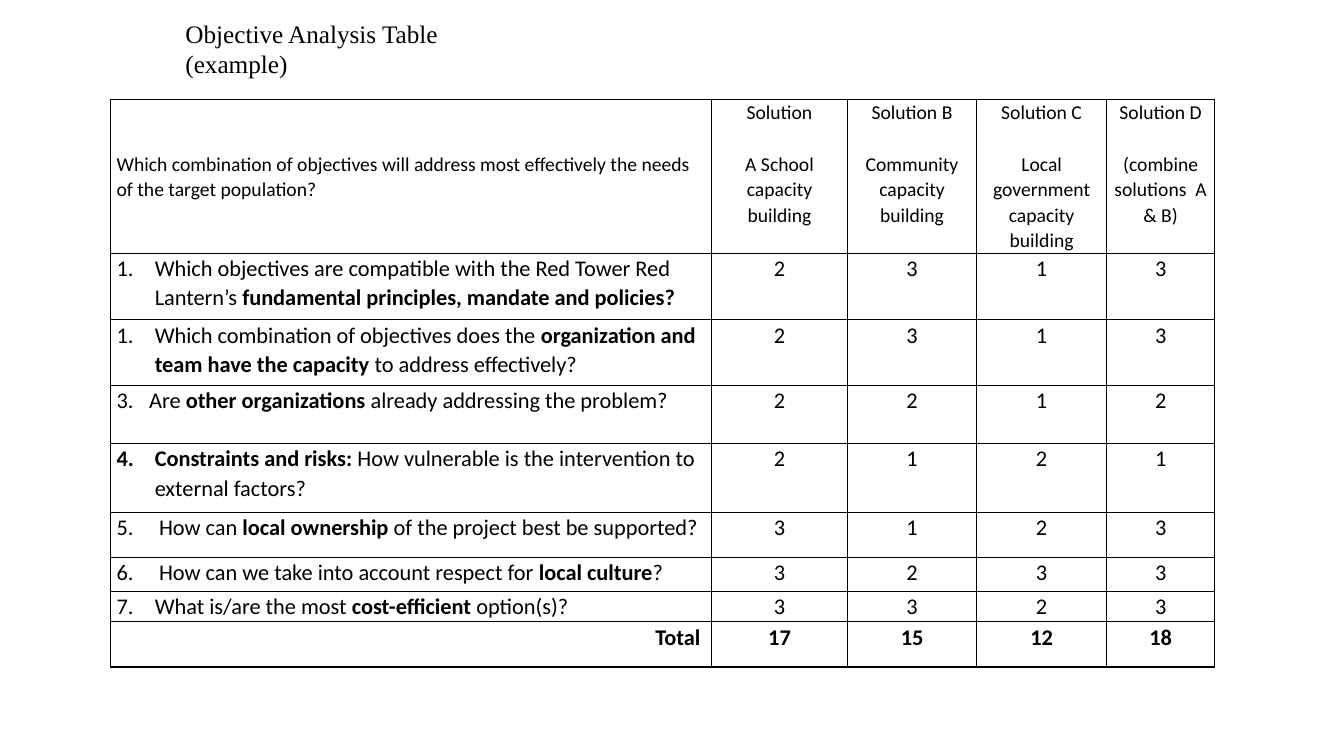
from lxml import etree
from pptx import Presentation
from pptx import util as u
from pptx.dml import color
from pptx.enum import text
from pptx.oxml import ns

BLACK = "000000"
COLUMN_WIDTHS = [15.14, 3.43, 3.25, 3.28, 2.72]
ROW_HEIGHTS = [3.87, 1.68, 1.65, 1.47, 1.73, 1.14, 0.86, 0.76, 1.14]
QUESTION = "Which combination of objectives will address most effectively the needs of the target population?"
SOLUTIONS = [
    ("Solution", "A School capacity building"),
    ("Solution B", "Community capacity building"),
    ("Solution C", "Local government capacity building"),
    ("Solution D", "(combine solutions  A & B)"),
]
# number, indent in cm, (text, bold) pieces, scores
CRITERIA = [
    (1, 0.96, [("Which objectives are compatible with the Red Tower Red Lantern’s ", False),
               ("fundamental principles, mandate and policies?", True)], [2, 3, 1, 3]),
    (1, 0.96, [("Which combination of objectives does the ", False),
               ("organization and team have the capacity", True),
               (" to address effectively?", False)], [2, 3, 1, 3]),
    (3, 0.82, [("Are ", False), ("other organizations", True),
               (" already addressing the problem?", False)], [2, 2, 1, 2]),
    (4, 0.96, [("Constraints and risks:", True),
               (" How vulnerable is the intervention to external factors?", False)], [2, 1, 2, 1]),
    (5, 1.07, [("How can ", False), ("local ownership", True),
               (" of the project best be supported?", False)], [3, 1, 2, 3]),
    (6, 1.07, [("How can we take into account respect for ", False),
               ("local culture", True), ("?", False)], [3, 2, 3, 3]),
    (7, 0.96, [("What is/are the most ", False), ("cost-efficient", True),
               (" option(s)?", False)], [3, 3, 2, 3]),
]


def rgb(hex_string):
    """Return the colour for a hex string."""
    return color.RGBColor.from_string(hex_string)


def format_run(run, size, bold=False, font="Calibri"):
    """Set the font of a run."""
    run.font.name, run.font.size, run.font.bold = font, u.Pt(size), bold
    run.font.color.rgb = rgb(BLACK)


def write_paragraph(paragraph, pieces, size, alignment):
    """Fill a paragraph with plain and bold pieces."""
    paragraph.alignment = alignment
    paragraph.line_spacing = 1.07
    for words, bold in pieces:
        run = paragraph.add_run()
        run.text = words
        format_run(run, size, bold)


def write_cell(cell, pieces, size=16, alignment=text.PP_ALIGN.CENTER):
    """Fill the first paragraph of a cell."""
    write_paragraph(cell.text_frame.paragraphs[0], pieces, size, alignment)


def number_paragraph(paragraph, number, indent):
    """Give a paragraph a hanging number."""
    properties = paragraph._p.get_or_add_pPr()
    properties.set("marL", str(u.Cm(indent)))
    properties.set("indent", str(-u.Cm(indent)))
    bullet = etree.SubElement(properties, ns.qn("a:buAutoNum"), type="arabicPeriod")
    bullet.set("startAt", str(number))


def style_cell(cell):
    """Set margins, an empty fill and thin black borders."""
    cell.margin_left = cell.margin_right = u.Cm(0.15)
    cell.margin_top = cell.margin_bottom = 0
    cell.fill.background()
    properties = cell._tc.get_or_add_tcPr()
    for position, side in enumerate(("lnL", "lnR", "lnT", "lnB")):
        line = etree.Element(ns.qn(f"a:{side}"), w=str(u.Pt(1)))
        fill = etree.SubElement(line, ns.qn("a:solidFill"))
        etree.SubElement(fill, ns.qn("a:srgbClr"), val=BLACK)
        properties.insert(position, line)


def add_title(slide):
    """Place and format the slide title."""
    title = slide.shapes.title
    title.left, title.top, title.width, title.height = (
        u.Cm(4.42), u.Cm(0.33), u.Cm(9.55), u.Cm(1.8))
    frame = title.text_frame
    frame.text = "Objective Analysis Table (example)"
    frame.word_wrap = True
    frame.auto_size = text.MSO_AUTO_SIZE.NONE
    frame.vertical_anchor = text.MSO_ANCHOR.TOP
    paragraph = frame.paragraphs[0]
    paragraph.alignment = text.PP_ALIGN.LEFT
    paragraph.line_spacing = 1.0
    paragraph.space_before = u.Pt(0)
    format_run(paragraph.runs[0], 18, font="Times New Roman")


def add_grid(slide):
    """Add the empty bordered table."""
    frame = slide.shapes.add_table(
        len(ROW_HEIGHTS), len(COLUMN_WIDTHS), u.Cm(2.79), u.Cm(2.51),
        u.Cm(sum(COLUMN_WIDTHS)), u.Cm(sum(ROW_HEIGHTS)))
    table = frame.table
    table.first_row = table.horz_banding = False
    for column, width in zip(table.columns, COLUMN_WIDTHS):
        column.width = u.Cm(width)
    for row, height in zip(table.rows, ROW_HEIGHTS):
        row.height = u.Cm(height)
    for cell in table.iter_cells():
        style_cell(cell)
    return table


def fill_header(table):
    """Write the question and the solution names."""
    question = table.cell(0, 0)
    question.vertical_anchor = text.MSO_ANCHOR.MIDDLE
    write_cell(question, [(QUESTION, False)], 14, text.PP_ALIGN.LEFT)
    for column, (name, description) in enumerate(SOLUTIONS, 1):
        cell = table.cell(0, column)
        write_cell(cell, [(name, False)], 14)
        paragraph = cell.text_frame.add_paragraph()
        paragraph.space_before = u.Pt(18.3)
        write_paragraph(paragraph, [(description, False)], 14, text.PP_ALIGN.CENTER)


def fill_scores(table, row, scores, bold=False):
    """Write one row of scores."""
    for column, score in enumerate(scores, 1):
        write_cell(table.cell(row, column), [(str(score), bold)])


def fill_criteria(table):
    """Write the numbered criteria, their scores and the totals."""
    for row, (number, indent, pieces, scores) in enumerate(CRITERIA, 1):
        cell = table.cell(row, 0)
        write_cell(cell, pieces, alignment=text.PP_ALIGN.LEFT)
        number_paragraph(cell.text_frame.paragraphs[0], number, indent)
        fill_scores(table, row, scores)
    total_row = len(CRITERIA) + 1
    write_cell(table.cell(total_row, 0), [("Total ", True)], alignment=text.PP_ALIGN.RIGHT)
    totals = [sum(scores) for scores in zip(*(entry[3] for entry in CRITERIA))]
    fill_scores(table, total_row, totals, bold=True)


def main():
    """Build and save the slide."""
    presentation = Presentation()
    presentation.slide_width, presentation.slide_height = u.Cm(33.87), u.Cm(19.05)
    slide = presentation.slides.add_slide(presentation.slide_layouts[5])
    add_title(slide)
    table = add_grid(slide)
    fill_header(table)
    fill_criteria(table)
    presentation.save("out.pptx")


if __name__ == "__main__":
    main()
